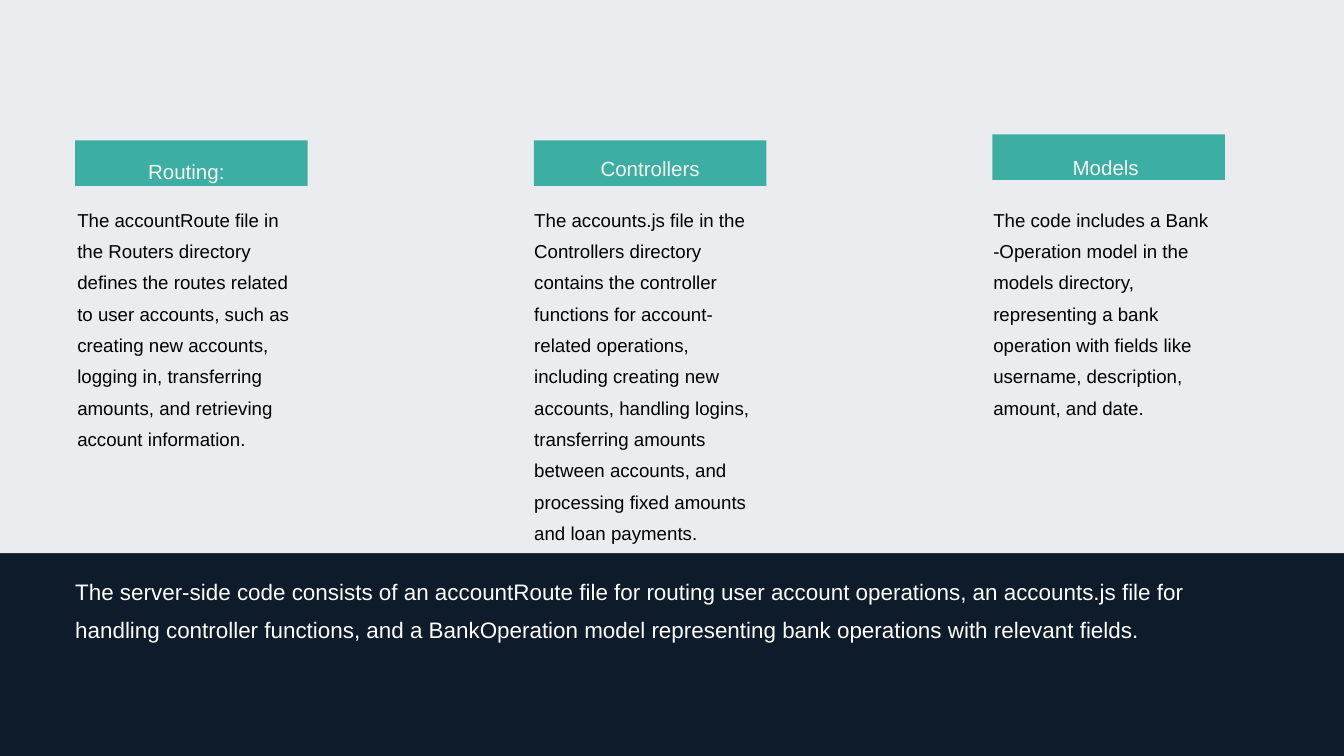
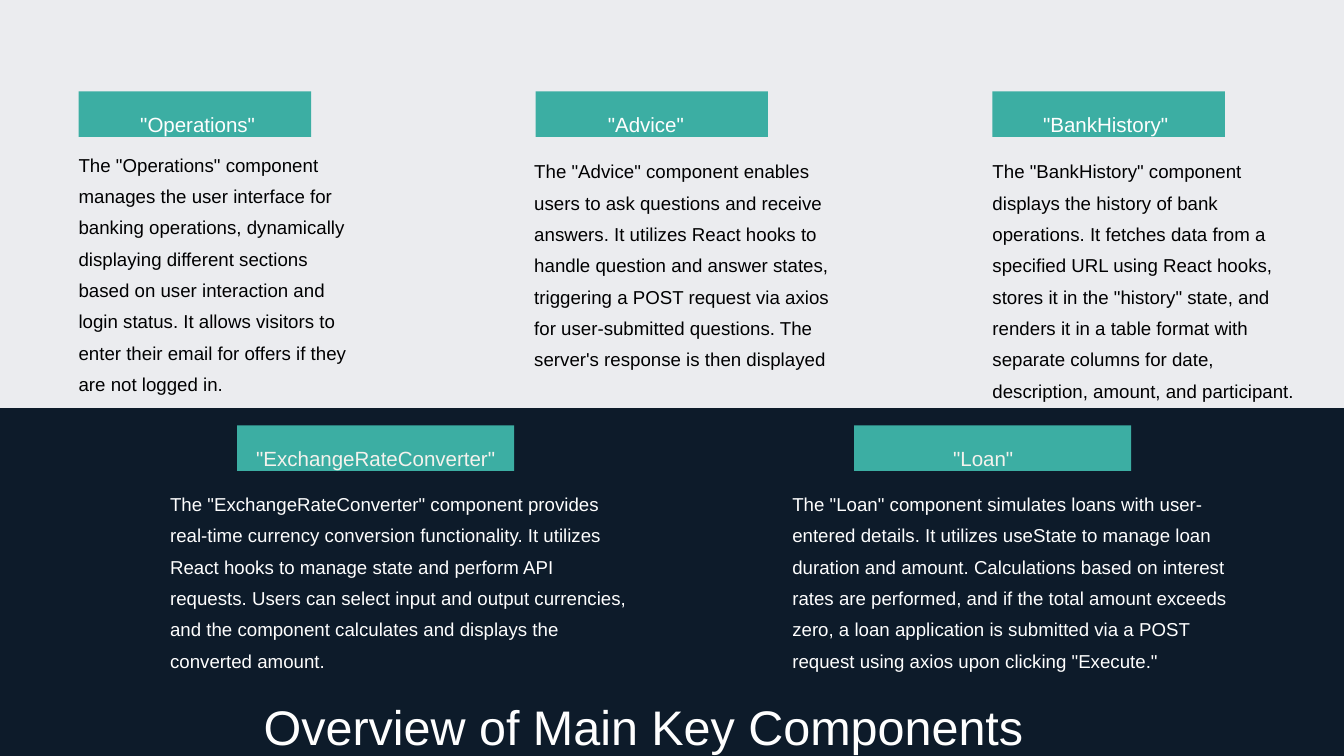
from pptx import Presentation
from pptx.dml.color import RGBColor
from pptx.enum.shapes import MSO_SHAPE as Shape
from pptx.enum.text import MSO_ANCHOR as Anchor, MSO_AUTO_SIZE as AutoSize, PP_ALIGN as Align
from pptx.util import Pt

NAVY = RGBColor(0x0D, 0x1B, 0x2A)
PALE = RGBColor(0xEB, 0xEC, 0xEF)
TEAL = RGBColor(0x3C, 0xAE, 0xA3)
CREAM = RGBColor(0xF4, 0xF2, 0xED)
WHITE = RGBColor(0xFE, 0xFE, 0xFE)
BLACK = RGBColor(0x00, 0x00, 0x01)

FONT = "Arial"
LINE_SPACING = 1.4
TAG_HEIGHT = 48.8
LABEL_RISE = 14.3  # label box starts this far above its tag
LABEL_PAD = 4.3

# Cards: label, label box (width, height), tag top, body box (left, top, width, height), body
SERVER_CARDS = [
    ("Routing: ", (244.2, 83.6), 150.5, (82.8, 213.8, 247.7, 222.5),
     "The accountRoute file in the Routers directory defines the routes related to user "
     "accounts, such as creating new accounts, logging in, transferring amounts, and "
     "retrieving account information."),
    ("Controllers", (249.1, 77.8), 150.5, (572.4, 213.8, 249.1, 306),
     "The accounts.js file in the Controllers directory contains the controller functions "
     "for account-related operations, including creating new accounts, handling logins, "
     "transferring amounts between accounts, and processing fixed amounts and loan payments."),
    ("Models", (242.6, 87.8), 144, (1064.2, 213.8, 248.4, 227.5),
     "The code includes a Bank -Operation model in the models directory, representing a "
     "bank operation with fields like username, description, amount, and date."),
]
SERVER_SUMMARY = (
    "The server-side code consists of an accountRoute file for routing user account "
    "operations, an accounts.js file for handling controller functions, and a BankOperation "
    "model representing bank operations with relevant fields.")

UPPER_CARDS = [
    (' "Operations"', (249.1, 87.8), 97.9, (84.2, 154.8, 296.6, 262.1),
     'The "Operations" component manages the user interface for banking operations, '
     "dynamically displaying different sections based on user interaction and login status. "
     "It allows visitors to enter their email for offers if they are not logged in."),
    ('"Advice" ', (242.6, 87.8), 97.9, (572.4, 162, 320.4, 227.5),
     'The "Advice" component enables users to ask questions and receive answers. It utilizes '
     "React hooks to handle question and answer states, triggering a POST request via axios "
     "for user-submitted questions. The server's response is then displayed"),
    ('"BankHistory"', (242.6, 87.8), 97.9, (1063.4, 162, 340.6, 262.1),
     'The "BankHistory" component displays the history of bank operations. It fetches data '
     'from a specified URL using React hooks, stores it in the "history" state, and renders '
     "it in a table format with separate columns for date, description, amount, and "
     "participant."),
]
LOWER_CARDS = [
    ('"ExchangeRateConverter"', (296.6, 87.8), 455.8, (182.2, 518.4, 491, 193.7),
     'The "ExchangeRateConverter" component provides real-time currency conversion '
     "functionality. It utilizes React hooks to manage state and perform API requests. Users "
     "can select input and output currencies, and the component calculates and displays the "
     "converted amount."),
    ('"Loan"', (276.5, 87.8), 455.8, (848.9, 518.4, 491, 167),
     'The "Loan" component simulates loans with user-entered details. It utilizes useState '
     "to manage loan duration and amount. Calculations based on interest rates are performed, "
     "and if the total amount exceeds zero, a loan application is submitted via a POST "
     'request using axios upon clicking "Execute."'),
]
OVERVIEW_TITLE = "Overview of Main Key Components"


def add_block(page, area, color):
    block = page.shapes.add_shape(Shape.RECTANGLE, *map(Pt, area))
    block.shadow.inherit = False
    block.fill.solid()
    block.fill.fore_color.rgb = color
    block.line.fill.background()


def add_text(page, area, text, size, color, align=Align.LEFT, anchor=Anchor.TOP, pad=0):
    box = page.shapes.add_textbox(*map(Pt, area))
    frame = box.text_frame
    frame.word_wrap = True
    frame.auto_size = AutoSize.NONE if pad else AutoSize.SHAPE_TO_FIT_TEXT
    frame.vertical_anchor = anchor
    frame.margin_left = frame.margin_right = Pt(pad)
    frame.margin_top = frame.margin_bottom = Pt(pad)
    para = frame.paragraphs[0]
    para.text = text
    para.alignment = align
    para.line_spacing = LINE_SPACING
    para.font.name = FONT
    para.font.size = Pt(size)
    para.font.color.rgb = color


def add_cards(page, cards, first_left, step, tag_width, label_color, body_color):
    for index, (label, (label_width, label_height), top, body_area, body) in enumerate(cards):
        left = first_left + index * step
        add_block(page, (left, top, tag_width, TAG_HEIGHT), TEAL)
        add_text(page, (left, top - LABEL_RISE, label_width, label_height), label, 22,
                 label_color, Align.CENTER, Anchor.MIDDLE, LABEL_PAD)
        add_text(page, body_area, body, 20, body_color)


def add_page(deck, band_area):
    page = deck.slides.add_slide(deck.slide_layouts[6])
    page.background.fill.solid()
    page.background.fill.fore_color.rgb = NAVY
    add_block(page, band_area, PALE)
    return page


def main():
    deck = Presentation()
    deck.slide_width, deck.slide_height = Pt(1440), Pt(810)

    # Server side
    page = add_page(deck, (0, 0, 1457.3, 592.6))
    add_cards(page, SERVER_CARDS, 80.6, 491.4, 249.1, CREAM, BLACK)
    add_text(page, (80.6, 608.4, 1231.2, 101.5), SERVER_SUMMARY, 24, WHITE)

    # Key components
    page = add_page(deck, (-9.4, -10.1, 1458.7, 447.1))
    add_cards(page, UPPER_CARDS, 84.2, 489.6, 249.1, WHITE, BLACK)
    add_cards(page, LOWER_CARDS, 254.2, 661, 296.8, CREAM, WHITE)
    add_text(page, (245.5, 721.4, 888.5, 69.8), OVERVIEW_TITLE, 52, WHITE, Align.CENTER)

    deck.save("out.pptx")


if __name__ == "__main__":
    main()
